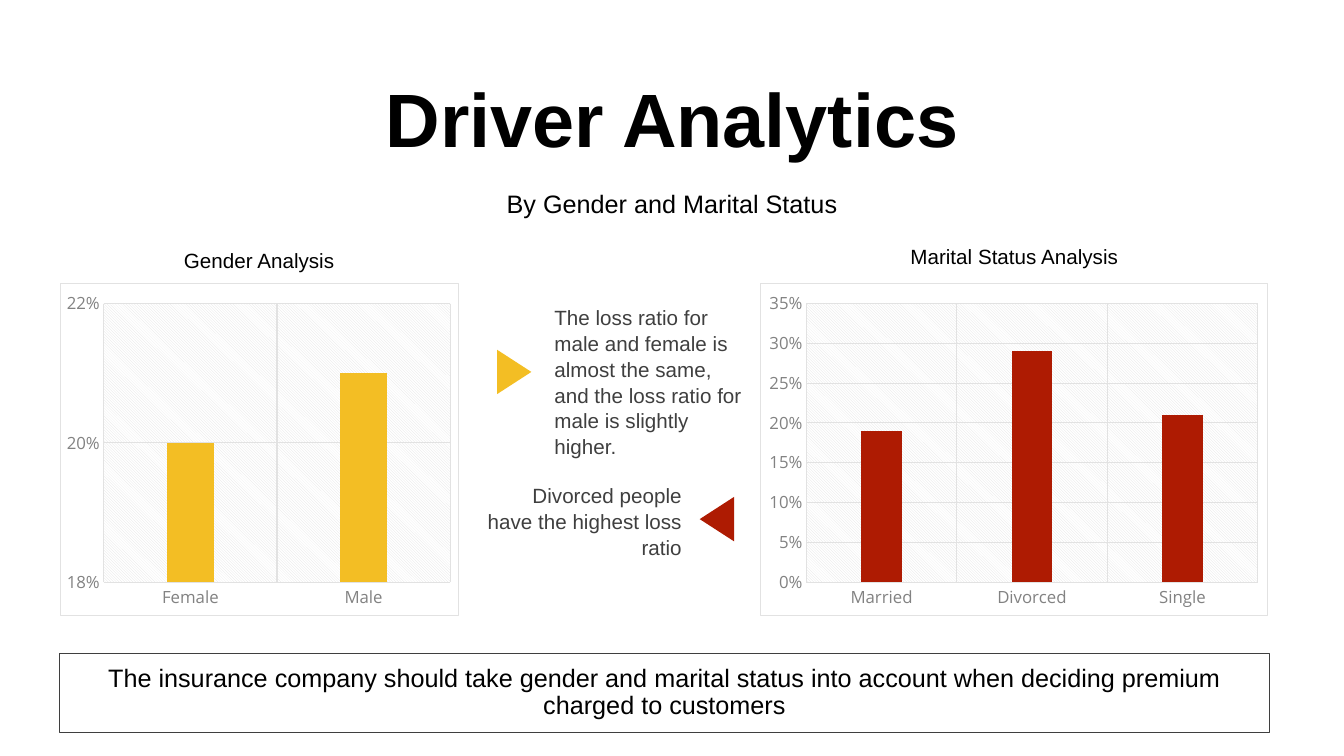
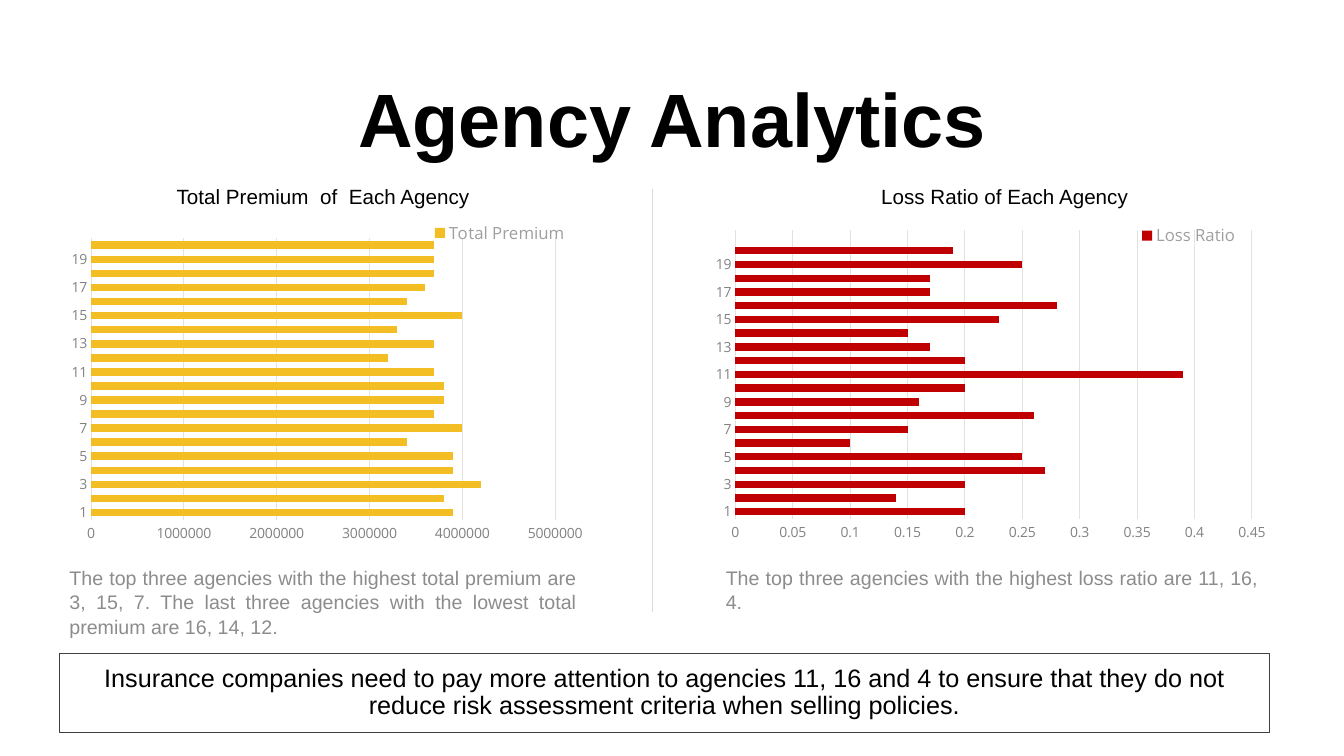
from lxml import etree
from pptx import Presentation
from pptx.chart.data import CategoryChartData
from pptx.dml.color import RGBColor
from pptx.enum.chart import XL_CHART_TYPE as ChartType, XL_LEGEND_POSITION as LegendPos, XL_TICK_MARK as Tick
from pptx.enum.shapes import MSO_CONNECTOR as Connector, MSO_SHAPE as Shape
from pptx.enum.text import MSO_ANCHOR as Anchor, PP_ALIGN as Align
from pptx.oxml import parse_xml
from pptx.oxml.ns import nsdecls, qn
from pptx.util import Emu, Pt

PX = 9144  # 100 px to the inch

BLACK = RGBColor(0x00, 0x00, 0x00)
WHITE = RGBColor(0xFF, 0xFF, 0xFF)
CHARCOAL = RGBColor(0x3F, 0x3F, 0x3F)
AXIS_GREY = RGBColor(0x82, 0x82, 0x82)
NOTE_GREY = RGBColor(0x8C, 0x8C, 0x8C)
LEGEND_GREY = RGBColor(0x9F, 0x9F, 0x9F)
DIVIDER_GREY = RGBColor(0xD9, 0xD9, 0xD9)
GRID_GREY = RGBColor(0xE2, 0xE2, 0xE2)
YELLOW = RGBColor(0xF3, 0xBE, 0x24)
BRICK = RGBColor(0xAE, 0x1B, 0x02)
RED = RGBColor(0xC0, 0x00, 0x00)

TEXT_FONT, CHART_FONT = "Arial", "Open Sans"
HEADING_SIZE, NOTE_SIZE = 14.7, 14
LEFT, FULL_WIDTH = 59, 1200


def px(*lengths):
    return [Emu(length * PX) for length in lengths]


def set_font(font, name, size, color, bold=False):
    font.name, font.size, font.bold = name, Pt(size), bold
    font.color.rgb = color


def set_line(line, color, width=0.75):
    line.color.rgb = color
    line.width = Pt(width)


def set_layout(parent, position, box, inner=False):
    """Place a chart part by fractions of the chart: left, top, width, height."""
    for old in parent.findall(qn("c:layout")):
        parent.remove(old)
    target = '<c:layoutTarget val="inner"/>' if inner else ""
    modes = "".join(f'<c:{side}Mode val="edge"/>' for side in "xy")
    sizes = "".join(f'<c:{side} val="{value}"/>' for side, value in zip("xywh", box))
    parent.insert(position, parse_xml(
        f'<c:layout {nsdecls("c")}><c:manualLayout>{target}{modes}{sizes}'
        "</c:manualLayout></c:layout>"))


def add_frame(chart):
    """White framed chart area around a hatched plot area."""
    solid = '<a:solidFill><a:srgbClr val="{}"/></a:solidFill>'
    props = "<c:spPr " + nsdecls("c", "a") + ">{}</c:spPr>"
    space = chart.element
    space.find(qn("c:chart")).addnext(parse_xml(props.format(
        solid.format(WHITE) + f'<a:ln w="9525">{solid.format(GRID_GREY)}</a:ln>')))
    space.find(".//" + qn("c:plotArea")).append(parse_xml(props.format(
        f'<a:pattFill prst="ltDnDiag"><a:fgClr><a:srgbClr val="{GRID_GREY}"/></a:fgClr>'
        f'<a:bgClr><a:srgbClr val="{WHITE}"/></a:bgClr></a:pattFill>')))


class Deck:
    def __init__(self):
        self.prs = Presentation()
        self.prs.slide_width, self.prs.slide_height = px(1333, 750)
        self.slide = None

    def new_slide(self, title, takeaway):
        self.slide = self.prs.slides.add_slide(self.prs.slide_layouts[6])
        self.text(title, (315, 61, 703, 107), 54, align=Align.CENTER, bold=True,
                  anchor=Anchor.MIDDLE)
        self.takeaway(takeaway)

    def fill_text(self, shape, text, size, color, align, anchor, spacing, bold=False):
        frame = shape.text_frame
        frame.word_wrap = True
        frame.vertical_anchor = anchor
        paragraph = frame.paragraphs[0]
        paragraph.alignment, paragraph.line_spacing = align, spacing
        run = paragraph.add_run()
        run.text = text
        set_font(run.font, TEXT_FONT, size, color, bold)

    def text(self, text, box, size, color=BLACK, align=Align.LEFT, bold=False,
             anchor=Anchor.TOP):
        label = self.slide.shapes.add_textbox(*px(*box))
        self.fill_text(label, text, size, color, align, anchor, 1.05, bold)

    def heading(self, text, left, top, width, size=HEADING_SIZE):
        self.text(text, (left, top, width, 44), size, align=Align.CENTER)

    def shape(self, kind, box):
        shape = self.slide.shapes.add_shape(kind, *px(*box))
        shape.shadow.inherit = False
        return shape

    def takeaway(self, text):
        band = self.shape(Shape.RECTANGLE, (LEFT, 648, FULL_WIDTH, 79))
        band.fill.background()
        set_line(band.line, CHARCOAL)
        self.fill_text(band, text, 18, BLACK, Align.CENTER, Anchor.MIDDLE, 0.9)

    def pointer(self, left, top, rotation, color):
        pointer = self.shape(Shape.ISOSCELES_TRIANGLE, (left, top, 44, 34))
        pointer.rotation = rotation
        pointer.fill.solid()
        pointer.fill.fore_color.rgb = color
        pointer.line.fill.background()

    def divider(self, x, top, bottom):
        divider = self.slide.shapes.add_connector(Connector.STRAIGHT, *px(x, top, x, bottom))
        set_line(divider.line, DIVIDER_GREY, 0.5)
        etree.SubElement(divider.element.spPr, qn("a:effectLst"))

    def chart(self, kind, box, categories, name, values, color, scale, plot_box,
              label_size, gap):
        """Draw a one-series bar chart; scale is minimum, maximum, step."""
        data = CategoryChartData()
        data.categories = categories
        data.add_series(name, values)
        chart = self.slide.shapes.add_chart(kind, *px(*box), data).chart
        set_font(chart.font, CHART_FONT, 10, CHARCOAL)
        chart.has_title = chart.has_legend = False

        plot = chart.plots[0]
        plot.gap_width, plot.vary_by_categories = gap, False
        fill = plot.series[0].format.fill
        fill.solid()
        fill.fore_color.rgb = color

        for axis in (chart.category_axis, chart.value_axis):
            axis.major_tick_mark = axis.minor_tick_mark = Tick.NONE
            set_font(axis.tick_labels.font, CHART_FONT, label_size, AXIS_GREY)
        set_line(chart.category_axis.format.line, GRID_GREY)
        value_axis = chart.value_axis
        value_axis.format.line.fill.background()
        set_line(value_axis.major_gridlines.format.line, GRID_GREY)
        value_axis.minimum_scale, value_axis.maximum_scale, value_axis.major_unit = scale
        set_layout(chart.element.find(".//" + qn("c:plotArea")), 0, plot_box, inner=True)
        return chart

    def ratio_columns(self, box, categories, values, color, scale, plot_box):
        chart = self.chart(ChartType.COLUMN_CLUSTERED, box, categories, "Series 1", values,
                           color, scale, plot_box, label_size=12, gap=267)
        chart.plots[0].overlap = -43
        set_line(chart.category_axis.major_gridlines.format.line, GRID_GREY)
        labels = chart.value_axis.tick_labels
        labels.number_format, labels.number_format_is_linked = "0%", False
        add_frame(chart)

    def agency_bars(self, box, categories, name, values, color, scale, plot_box, legend_box):
        chart = self.chart(ChartType.BAR_CLUSTERED, box, categories, name, values,
                           color, scale, plot_box, label_size=10, gap=85)
        chart.has_legend = True
        legend = chart.legend
        legend.position, legend.include_in_layout = LegendPos.BOTTOM, False
        set_font(legend.font, CHART_FONT, 12, LEGEND_GREY)
        set_layout(chart.element.find(".//" + qn("c:legend")), 1, legend_box)


def driver_slide(deck):
    deck.new_slide("Driver Analytics",
                   "The insurance company should take gender and marital status into account "
                   "when deciding premium charged to customers")
    deck.heading("By Gender and Marital Status", 357, 180, 619, size=18)
    deck.ratio_columns((LEFT, 281, 396, 330), ["Female", "Male"], [0.2, 0.21], YELLOW,
                       (0.18, 0.22, 0.02), (0.11, 0.06, 0.87, 0.84))
    deck.ratio_columns((754, 281, 504, 330), ["Married", "Divorced", "Single"],
                       [0.19, 0.29, 0.21], BRICK,
                       (0, 0.35, 0.05), (0.09, 0.06, 0.89, 0.84))
    deck.heading("Gender Analysis", LEFT, 240, 396)
    deck.heading("Marital Status Analysis", 754, 236, 504)
    deck.text("The loss ratio for male and female is almost the same, and the loss ratio "
              "for male is slightly higher.", (540, 296, 214, 159), HEADING_SIZE, CHARCOAL)
    deck.text("Divorced people have the highest loss ratio", (472, 473, 214, 84),
              HEADING_SIZE, CHARCOAL, Align.RIGHT)
    deck.pointer(488, 352, 90, YELLOW)
    deck.pointer(689, 498, 270, BRICK)


def agency_slide(deck):
    deck.new_slide("Agency Analytics",
                   "Insurance companies need to pay more attention to agencies 11, 16 and 4 to "
                   "ensure that they do not reduce risk assessment criteria when selling policies.")
    agencies = [str(number) for number in range(1, 21)]
    premium_millions = [3.9, 3.8, 4.2, 3.9, 3.9, 3.4, 4.0, 3.7, 3.8, 3.8,
                        3.7, 3.2, 3.7, 3.3, 4.0, 3.4, 3.6, 3.7, 3.7, 3.7]
    loss_ratios = [0.2, 0.14, 0.2, 0.27, 0.25, 0.1, 0.15, 0.26, 0.16, 0.2,
                   0.39, 0.2, 0.17, 0.15, 0.23, 0.28, 0.17, 0.17, 0.25, 0.19]
    deck.agency_bars((LEFT, 197, 523, 358), agencies, "Total Premium",
                     [round(millions * 1000000) for millions in premium_millions], YELLOW,
                     (0, 5000000, 1000000), (0.06, 0.11, 0.88, 0.78), (0.7, 0.06, 0.27, 0.07))
    deck.agency_bars((710, 188, 548, 367), agencies + [""], "Loss Ratio",
                     loss_ratios + [None], RED,
                     (0, 0.45, 0.05), (0.03, 0.11, 0.94, 0.78), (0.76, 0.09, 0.19, 0.07))
    deck.heading("Total Premium  of  Each Agency", LEFT, 176, 523)
    deck.heading("Loss Ratio of Each Agency", 735, 176, 523)
    deck.text("The top three agencies with the highest total premium are 3, 15, 7. The last "
              "three agencies with the lowest total premium are 16, 14, 12.",
              (LEFT, 555, 523, 81), NOTE_SIZE, NOTE_GREY, Align.JUSTIFY)
    deck.text("The top three agencies with the highest loss ratio are 11, 16, 4.",
              (710, 555, 548, 57), NOTE_SIZE, NOTE_GREY, Align.JUSTIFY)
    deck.divider(647, 188, 607)


def main():
    deck = Deck()
    driver_slide(deck)
    agency_slide(deck)
    deck.prs.save("out.pptx")


if __name__ == "__main__":
    main()
